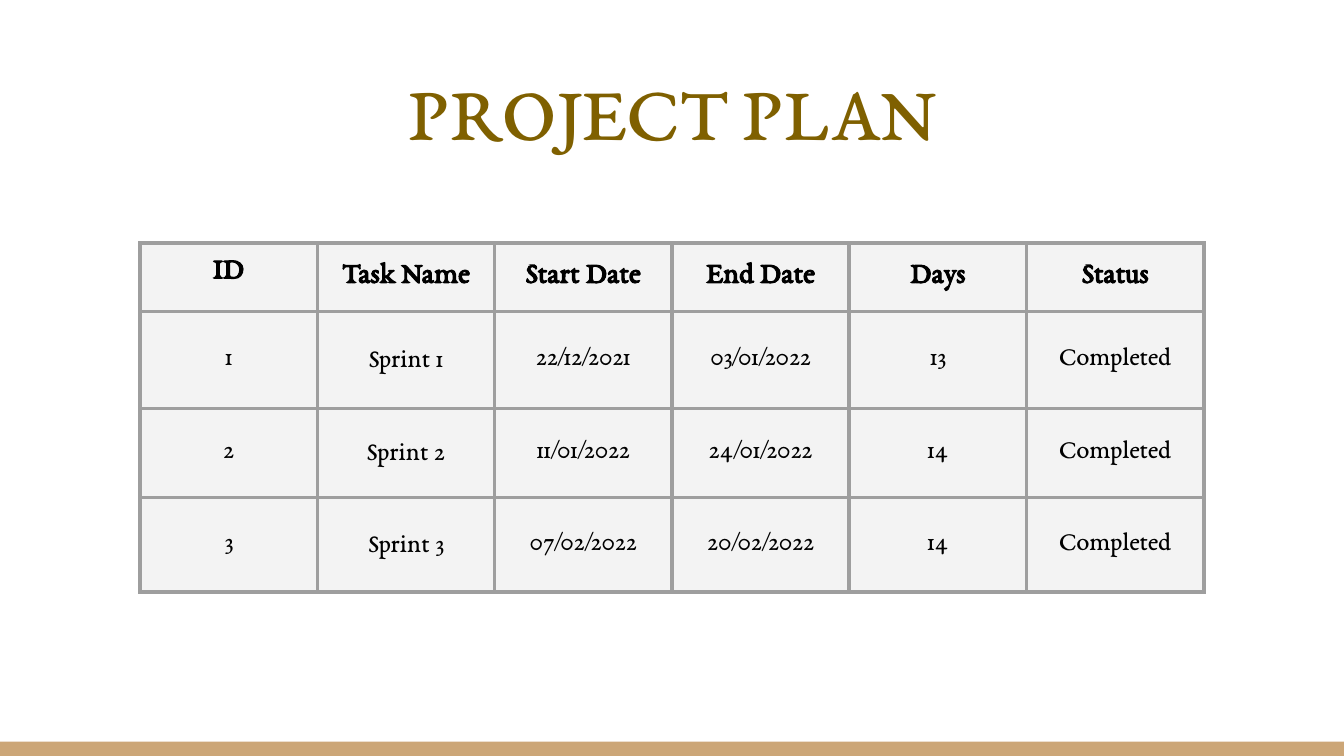
from lxml import etree
from pptx import Presentation
from pptx.dml.color import RGBColor
from pptx.enum import shapes, text
from pptx.oxml import ns
from pptx.util import Pt

FONT = "EB Garamond"
GOLD = RGBColor(0x7F, 0x60, 0x00)
TAN = RGBColor(0xCC, 0xA6, 0x77)
BLACK = RGBColor(0x00, 0x00, 0x00)
CELL_GREY = RGBColor(0xF3, 0xF3, 0xF3)
BORDER_GREY = RGBColor(0x9E, 0x9E, 0x9E)

INSET = Pt(7.2)
INSETS = dict.fromkeys(
    ("margin_left", "margin_top", "margin_right", "margin_bottom"), INSET)
COLUMN_WIDTH = Pt(95)
ROW_HEIGHTS = (30.2, 52, 47.7, 50.8)
SPRINT_COLUMN = 1

PLAN = (
    ("ID", "Task Name", "Start Date", "End Date", "Days", "Status"),
    ("1", "Sprint 1", "22/12/2021", "03/01/2022", "13", "Completed"),
    ("2", "Sprint 2", "11/01/2022", "24/01/2022", "14", "Completed"),
    ("3", "Sprint 3", "07/02/2022", "20/02/2022", "14", "Completed"),
)


def set_attributes(target, values):
    for name, value in values.items():
        setattr(target, name, value)


def write_centred(frame, words, size, color, bold=False, spacing=1.0):
    paragraph = frame.paragraphs[0]
    set_attributes(paragraph, {"alignment": text.PP_ALIGN.CENTER,
                               "line_spacing": spacing})
    run = paragraph.add_run()
    run.text = words
    set_attributes(run.font, {"name": FONT, "size": Pt(size), "bold": bold})
    run.font.color.rgb = color


def add_footer_band(slide):
    band = slide.shapes.add_shape(
        shapes.MSO_SHAPE.RECTANGLE, Pt(0), Pt(397.4), Pt(720), Pt(7.6))
    band.shadow.inherit = False
    band.fill.solid()
    band.fill.fore_color.rgb = TAN
    band.line.fill.background()


def add_title(slide, words):
    box = slide.shapes.add_textbox(Pt(24.5), Pt(25.2), Pt(671), Pt(65.5))
    frame = box.text_frame
    set_attributes(frame, {"word_wrap": True,
                           "vertical_anchor": text.MSO_ANCHOR.BOTTOM, **INSETS})
    write_centred(frame, words, 42, GOLD)


def add_borders(cell):
    """Draw all four edges; the edges must come before the fill in the XML."""
    properties = cell._tc.get_or_add_tcPr()
    for index, edge in enumerate(("a:lnL", "a:lnR", "a:lnT", "a:lnB")):
        line = etree.Element(ns.qn(edge), w=str(Pt(2.25)))
        fill = etree.SubElement(line, ns.qn("a:solidFill"))
        etree.SubElement(fill, ns.qn("a:srgbClr"), val=str(BORDER_GREY))
        properties.insert(index, line)


def format_cell(cell, words, row, column):
    header = row == 0
    anchor = text.MSO_ANCHOR.TOP if header else text.MSO_ANCHOR.MIDDLE
    set_attributes(cell, {"vertical_anchor": anchor, **INSETS})
    cell.fill.solid()
    cell.fill.fore_color.rgb = CELL_GREY
    add_borders(cell)
    loose = column == SPRINT_COLUMN or (header and column > 0)
    write_centred(cell.text_frame, words, 16 if header else 14, BLACK,
                  bold=header, spacing=1.15 if loose else 1.0)


def add_plan_table(slide):
    table = slide.shapes.add_table(
        len(PLAN), len(PLAN[0]), Pt(75), Pt(130.3),
        COLUMN_WIDTH * len(PLAN[0]), Pt(sum(ROW_HEIGHTS))).table
    set_attributes(table, {"first_row": False, "horz_banding": False})
    for column in table.columns:
        column.width = COLUMN_WIDTH
    for row, (height, entries) in enumerate(zip(ROW_HEIGHTS, PLAN)):
        table.rows[row].height = Pt(height)
        for column, words in enumerate(entries):
            format_cell(table.cell(row, column), words, row, column)


def main():
    presentation = Presentation()
    set_attributes(presentation, {"slide_width": Pt(720), "slide_height": Pt(405)})
    slide = presentation.slides.add_slide(presentation.slide_layouts[6])
    add_footer_band(slide)
    add_title(slide, "PROJECT PLAN")
    add_plan_table(slide)
    presentation.save("out.pptx")


if __name__ == "__main__":
    main()
